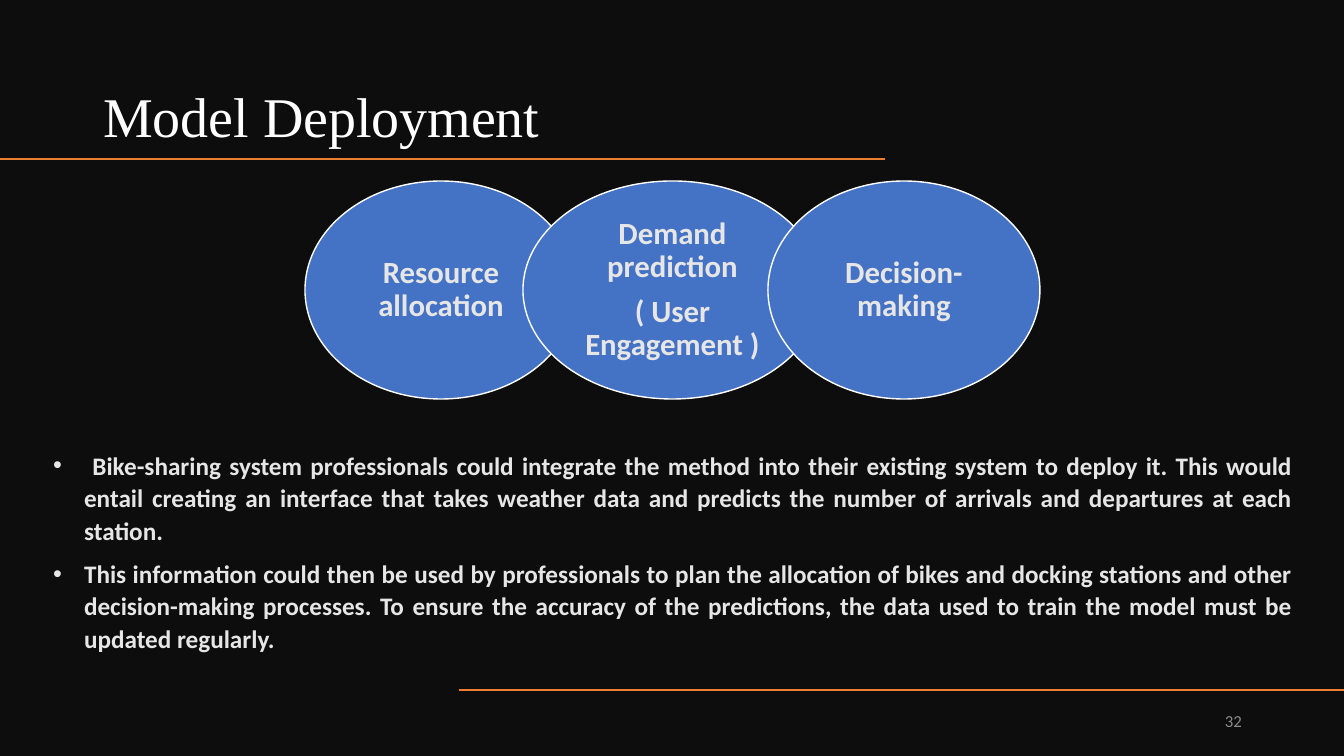
import pptx
import pptx.dml.color
import pptx.enum.shapes
import pptx.enum.text
import pptx.oxml.ns
import pptx.util
from lxml import etree

RGBColor = pptx.dml.color.RGBColor
ALIGN = pptx.enum.text.PP_ALIGN
ANCHOR = pptx.enum.text.MSO_ANCHOR

BLACK = RGBColor(0x0D, 0x0D, 0x0D)
WHITE = RGBColor(0xFF, 0xFF, 0xFF)
ORANGE = RGBColor(0xED, 0x7D, 0x31)
BLUE = RGBColor(0x44, 0x72, 0xC4)
LIGHT = RGBColor(0xE7, 0xE6, 0xE6)
GREY = RGBColor(0x8C, 0x8C, 0x8C)

PX_PER_INCH = 100.8
OVERLAP = 54

USES = [
    (272, ["Resource allocation"]),
    (299, ["Demand prediction", "( User Engagement )"]),
    (272, ["Decision-making"]),
]
PLAN = [
    " Bike-sharing system professionals could integrate the method into their "
    "existing system to deploy it. This would entail creating an interface that "
    "takes weather data and predicts the number of arrivals and departures at "
    "each station. ",
    "This information could then be used by professionals to plan the allocation "
    "of bikes and docking stations and other decision-making processes. To ensure "
    "the accuracy of the predictions, the data used to train the model must be "
    "updated regularly.",
]


def px(length):
    return pptx.util.Emu(round(length * 914400 / PX_PER_INCH))


def place(shape, box):
    shape.left, shape.top, shape.width, shape.height = map(px, box)


def write(frame, texts, size, color, align, anchor, font="Calibri", bold=False,
          spacing=1.0, after=0):
    frame.word_wrap = True
    frame.auto_size = pptx.enum.text.MSO_AUTO_SIZE.NONE
    frame.vertical_anchor = anchor
    frame.text = "\n".join(texts)
    for paragraph in frame.paragraphs:
        paragraph.alignment = align
        paragraph.line_spacing = spacing
        paragraph.space_before = pptx.util.Pt(0)
        paragraph.space_after = pptx.util.Pt(after)
        paragraph.font.name = font
        paragraph.font.size = pptx.util.Pt(size)
        paragraph.font.bold = bold
        paragraph.font.color.rgb = color


def add_heading(slide, box):
    heading = slide.shapes.title
    place(heading, box)
    write(heading.text_frame, ["Model Deployment"], 40, WHITE, ALIGN.LEFT,
          ANCHOR.BOTTOM, font="Times New Roman", spacing=0.9)


def add_rule(slide, start, end, y):
    rule = slide.shapes.add_connector(
        pptx.enum.shapes.MSO_CONNECTOR.STRAIGHT, px(start), px(y), px(end), px(y))
    rule.line.color.rgb = ORANGE
    rule.line.width = pptx.util.Pt(1)
    etree.SubElement(rule._element.spPr, pptx.oxml.ns.qn("a:effectLst"))


def add_uses(slide, left, top, height):
    for width, texts in USES:
        use = slide.shapes.add_shape(
            pptx.enum.shapes.MSO_SHAPE.OVAL, px(left), px(top), px(width), px(height))
        use.shadow.inherit = False
        use.fill.solid()
        use.fill.fore_color.rgb = BLUE
        use.line.color.rgb = WHITE
        use.line.width = pptx.util.Pt(1)
        frame = use.text_frame
        frame.margin_left = frame.margin_right = px(15)
        frame.margin_top = frame.margin_bottom = px(11)
        write(frame, texts, 22, LIGHT, ALIGN.CENTER, ANCHOR.MIDDLE,
              bold=True, spacing=0.9, after=8)
        left += width - OVERLAP


def add_plan(slide, box):
    plan = slide.placeholders[1]
    place(plan, box)
    write(plan.text_frame, PLAN, 18, LIGHT, ALIGN.JUSTIFY, ANCHOR.TOP,
          bold=True, spacing=1.07, after=8)
    for paragraph in plan.text_frame.paragraphs:
        properties = paragraph._p.get_or_add_pPr()
        properties.set("marL", str(px(31)))
        properties.set("indent", str(px(-31)))


def add_page_number(slide, box):
    number = slide.shapes.add_textbox(*map(px, box))
    write(number.text_frame, ["32"], 12, GREY, ALIGN.RIGHT, ANCHOR.MIDDLE)


def main():
    deck = pptx.Presentation()
    deck.slide_width, deck.slide_height = px(1344), px(756)
    slide = deck.slides.add_slide(deck.slide_layouts[1])
    slide.background.fill.solid()
    slide.background.fill.fore_color.rgb = BLACK
    add_heading(slide, (93, 42, 792, 113))
    add_rule(slide, 885, 0, 159)
    add_rule(slide, 1344, 459, 690)
    add_uses(slide, 305, 181, 218)
    add_plan(slide, (43, 443, 1260, 216))
    add_page_number(slide, (950, 701, 302, 40))
    deck.save("out.pptx")


if __name__ == "__main__":
    main()
